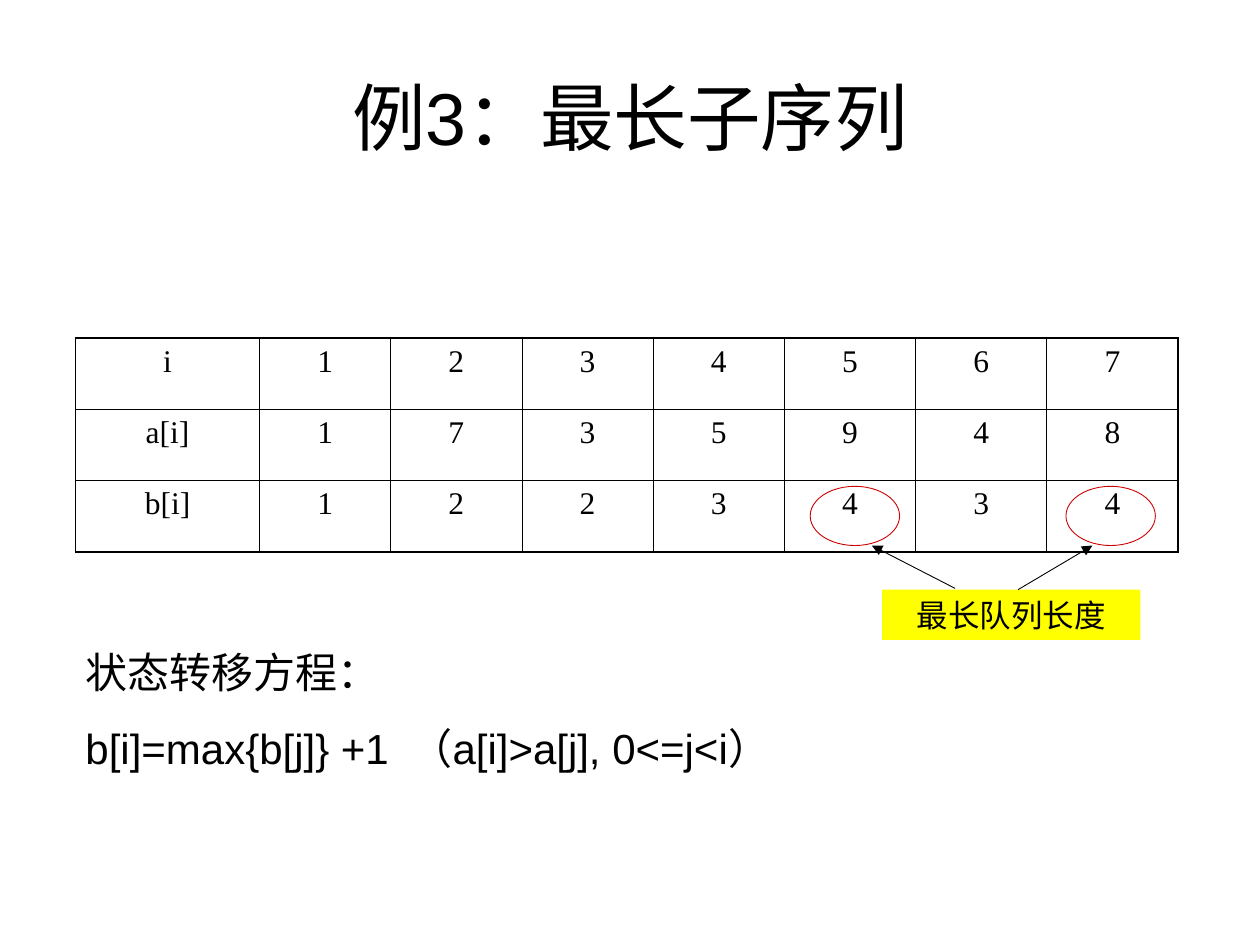
from lxml.etree import SubElement
from pptx import Presentation
from pptx.dml.color import RGBColor
from pptx.enum.shapes import MSO_CONNECTOR, MSO_SHAPE
from pptx.enum.text import MSO_ANCHOR, PP_ALIGN
from pptx.oxml.ns import qn
from pptx.util import Inches, Pt

BLACK = RGBColor(0x00, 0x00, 0x00)
RED = RGBColor(0xCC, 0x00, 0x00)
YELLOW = RGBColor(0xFF, 0xFF, 0x00)


def add_text(left, top, width, height, lines, size, align, space_before=0):
    box = slide.shapes.add_textbox(Inches(left), Inches(top), Inches(width), Inches(height))
    box.text_frame.word_wrap = True
    box.text_frame.text = "\n".join(lines)
    for paragraph in box.text_frame.paragraphs:
        paragraph.alignment = align
        paragraph.space_before = Pt(space_before)
        paragraph.font.size = Pt(size)
        paragraph.font.name = "Arial"
        paragraph.font.color.rgb = BLACK
    return box


def set_border(cell, side, width):
    border = SubElement(cell._tc.get_or_add_tcPr(), qn(f"a:{side}"), w=str(Pt(width)))
    fill = SubElement(border, qn("a:solidFill"))
    SubElement(fill, qn("a:srgbClr"), val=str(BLACK))


presentation = Presentation()
presentation.slide_width = Inches(10)
presentation.slide_height = Inches(7.5)
slide = presentation.slides.add_slide(presentation.slide_layouts[6])

title = add_text(0.5, 0.3, 9, 1.25, ["例3：最长子序列"], 42, PP_ALIGN.CENTER)
title.text_frame.vertical_anchor = MSO_ANCHOR.MIDDLE

sequences = [
    ["i", "1", "2", "3", "4", "5", "6", "7"],
    ["a[i]", "1", "7", "3", "5", "9", "4", "8"],
    ["b[i]", "1", "2", "2", "3", "4", "3", "4"],
]
last_row = len(sequences) - 1
last_column = len(sequences[0]) - 1
table = slide.shapes.add_table(
    len(sequences), len(sequences[0]), Inches(0.6), Inches(2.68), Inches(8.75), Inches(1.7)
).table
for c, column in enumerate(table.columns):
    column.width = Inches(1.46) if c == 0 else Inches((8.75 - 1.46) / last_column)
for r, values in enumerate(sequences):
    table.rows[r].height = Inches(1.7 / len(sequences))
    for c, value in enumerate(values):
        cell = table.cell(r, c)
        cell.text = value
        paragraph = cell.text_frame.paragraphs[0]
        paragraph.alignment = PP_ALIGN.CENTER
        paragraph.font.size = Pt(18)
        paragraph.font.name = "Times New Roman"
        paragraph.font.bold = False
        paragraph.font.color.rgb = BLACK
        outer_sides = {"lnL": c == 0, "lnR": c == last_column, "lnT": r == 0, "lnB": r == last_row}
        for side, is_outer in outer_sides.items():
            set_border(cell, side, 1.08 if is_outer else 0.45)
        cell.fill.background()

for left in (6.43, 8.46):
    longest_mark = slide.shapes.add_shape(
        MSO_SHAPE.OVAL, Inches(left), Inches(3.86), Inches(0.71), Inches(0.47)
    )
    longest_mark.shadow.inherit = False
    longest_mark.fill.background()
    longest_mark.line.color.rgb = RED
    longest_mark.line.width = Pt(0.5)

length_label = add_text(7, 4.68, 2.05, 0.4, ["最长队列长度"], 18, PP_ALIGN.CENTER, 11.2)
length_label.fill.solid()
length_label.fill.fore_color.rgb = YELLOW

for start_x, start_y, end_x in ((7.58, 4.67, 6.92), (8.08, 4.68, 8.67)):
    arrow = slide.shapes.add_connector(
        MSO_CONNECTOR.STRAIGHT, Inches(start_x), Inches(start_y), Inches(end_x), Inches(4.33)
    )
    arrow.line.color.rgb = BLACK
    arrow.line.width = Pt(0.5)
    SubElement(arrow.line._get_or_add_ln(), qn("a:tailEnd"), type="triangle")
    SubElement(arrow._element.spPr, qn("a:effectLst"))

equation = add_text(
    0.58, 5.08, 6.08, 1.11,
    ["状态转移方程：", "b[i]=max{b[j]} +1\t（a[i]>a[j], 0<=j<i）"],
    24, PP_ALIGN.LEFT, 15,
)
formula_properties = equation.text_frame.paragraphs[1]._p.get_or_add_pPr()
tab_stops = SubElement(formula_properties, qn("a:tabLst"))
SubElement(tab_stops, qn("a:tab"), pos=str(Inches(2.58)), algn="l")
formula_properties.find(qn("a:defRPr")).addprevious(tab_stops)

presentation.save("out.pptx")
